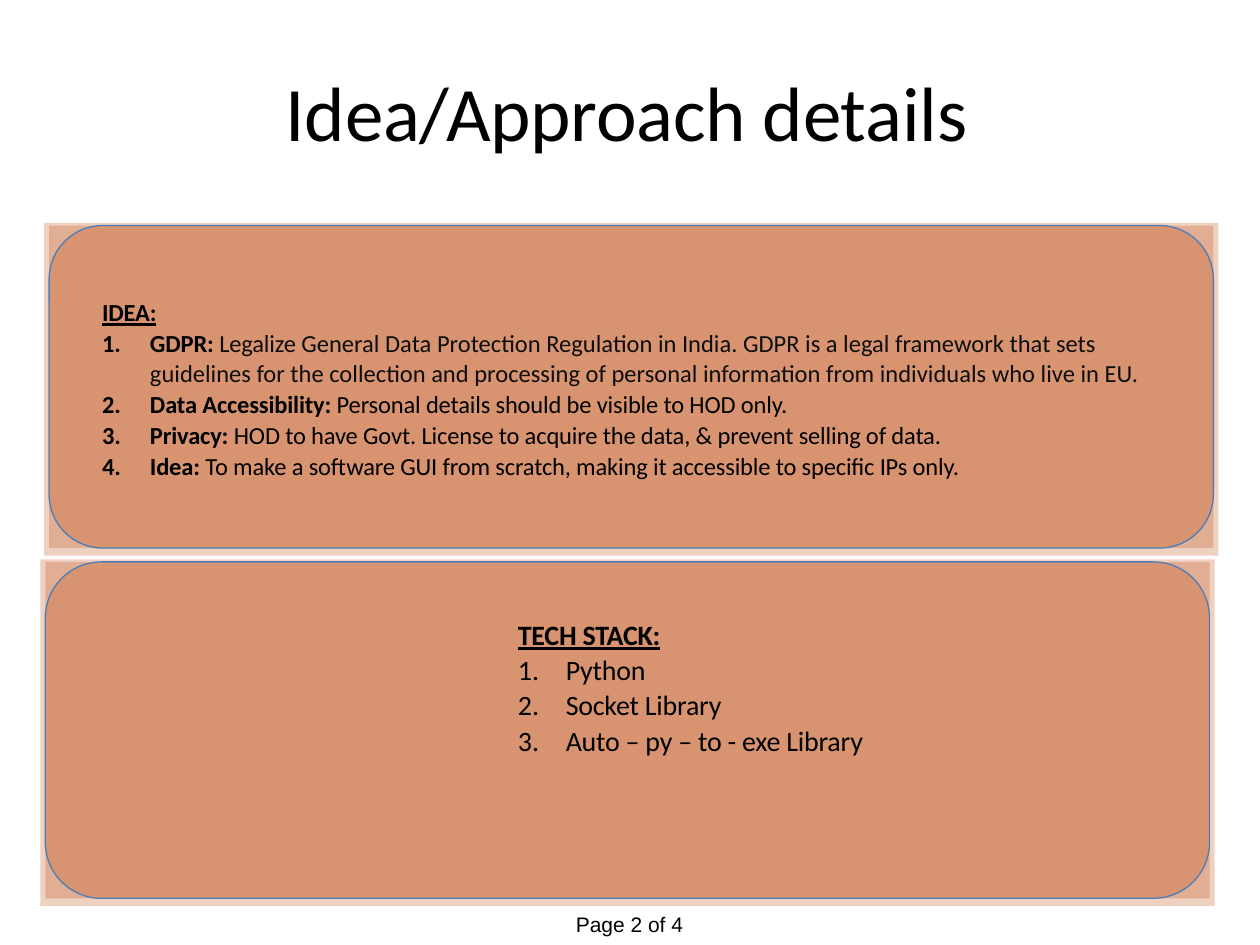
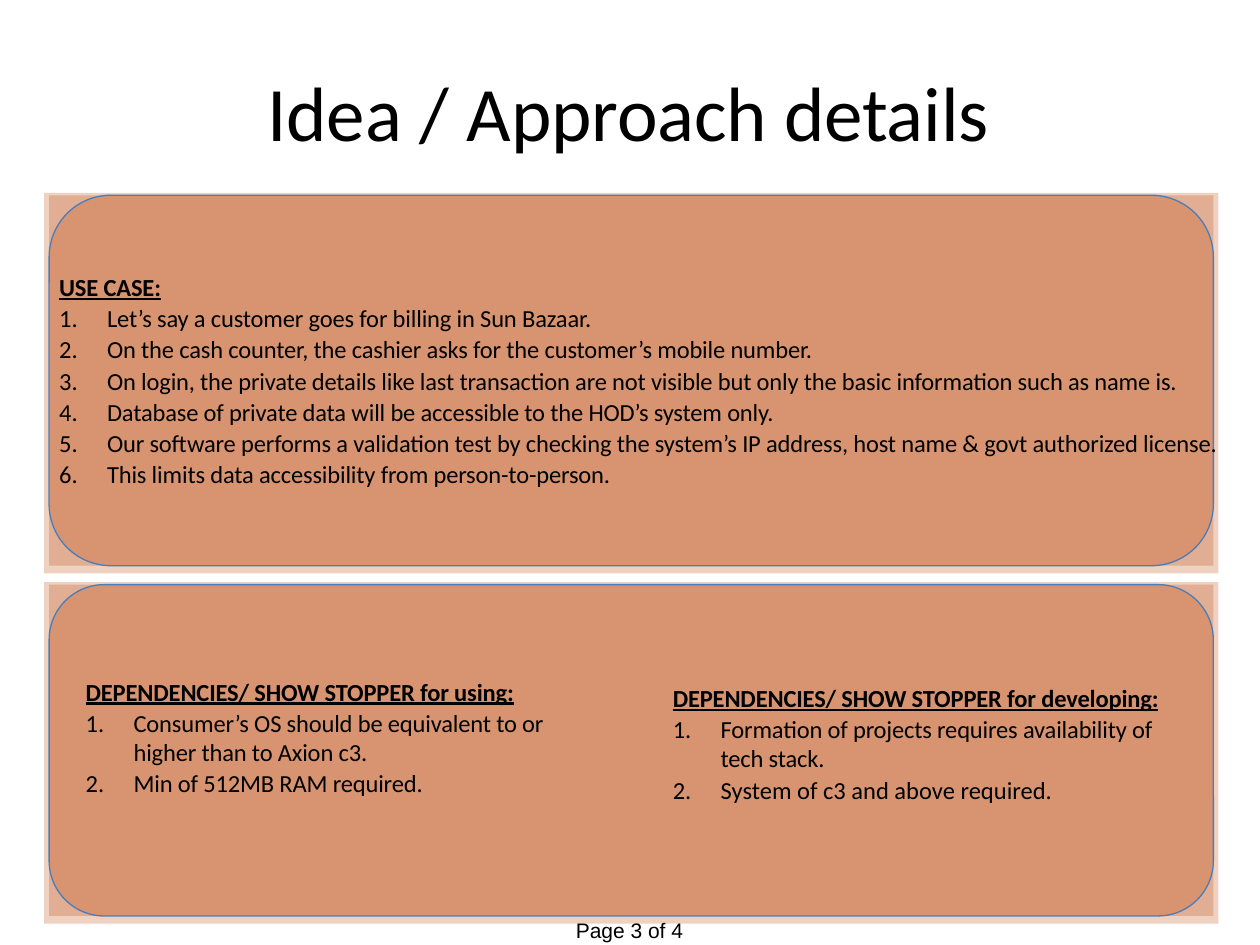
from dataclasses import dataclass
from lxml.etree import SubElement
from pptx import Presentation
from pptx.dml.color import RGBColor
from pptx.enum.shapes import MSO_SHAPE
from pptx.oxml.ns import qn
from pptx.util import Inches, Pt


@dataclass(frozen=True)
class Theme:
    panel: str = "BE480A"
    outline: str = "497DBA"
    ink: str = "000000"
    soft_ink: str = "0D0D0D"
    panel_opacity: int = 25
    body_font: str = "Calibri"
    footer_font: str = "Arial"
    title_size: int = 44
    large_size: int = 16
    body_size: int = 14
    footer_size: int = 12
    tight: float = -0.1


THEME = Theme()
BOLD = {"bold": True}
HEADING = {"bold": True, "underline": True}
SOFT = {"color": THEME.soft_ink}
LOOSE = {"spacing": 0}

PAGES = [
    {
        "title": (2.26, 5.49, [("Idea/Approach ", {"spacing": -0.2}), ("details", {})]),
        "footer": ("Page 2 of 4", 7.24),
        "panels": [(0.39, 1.79, 2.56), (0.36, 4.46, 2.67)],
        "lists": [
            {
                "at": (0.8, 2.35, 8.42, 1.98),
                "size": THEME.body_size,
                "heading": "IDEA:",
                "items": [
                    [
                        ("GDPR:", BOLD),
                        (" Legalize ", SOFT),
                        ("General Data Protection Regulation in India. GDPR is a legal "
                         "framework that sets guidelines for the collection and processing "
                         "of personal information from individuals who live in EU.",
                         SOFT | LOOSE),
                    ],
                    [("Data Accessibility:", BOLD),
                     (" Personal details should be visible to HOD only.", {})],
                    [("Privacy:", BOLD),
                     (" HOD to have Govt. License to acquire the data, & prevent selling "
                      "of data.", {})],
                    [("Idea:", BOLD),
                     (" To make a software GUI from scratch, making it accessible to "
                      "specific IPs only.", {})],
                ],
            },
            {
                "at": (4.1, 4.89, 3.72, 1.7),
                "size": THEME.large_size,
                "heading": "TECH STACK:",
                "items": [
                    [("Python", {})],
                    [("Socket Library", {})],
                    [("Auto – py – to - exe Library", {})],
                ],
            },
        ],
    },
    {
        "title": (2.11, 5.79, [("Idea / ", LOOSE), ("Approach details", {})]),
        "footer": ("Page 3 of 4", 7.28),
        "panels": [(0.39, 1.55, 2.94), (0.39, 4.64, 2.63)],
        "lists": [
            {
                "at": (0.46, 2.15, 9.24, 2),
                "size": THEME.body_size,
                "heading": "USE CASE:",
                "items": [
                    [("Let’s say a customer goes for billing in Sun Bazaar.", {})],
                    [("On the cash counter, the cashier asks for the customer’s mobile "
                      "number.", {})],
                    [("On login, the private details like last transaction are not visible "
                      "but only the basic information such as name is.", {})],
                    [("Database of private data will be accessible to the HOD’s system "
                      "only.", {})],
                    [("Our software performs a validation test by checking the system’s IP "
                      "address, host name & govt authorized license.", {})],
                    [("This limits data accessibility from person-to-person.", {})],
                ],
            },
            {
                "at": (0.67, 5.36, 3.71, 1.23),
                "size": THEME.body_size,
                "heading": "DEPENDENCIES/ SHOW STOPPER for using:",
                "items": [
                    [("Consumer’s OS should be equivalent to or higher than to Axion c3.", {})],
                    [("Min of 512MB RAM required.", {})],
                ],
            },
            {
                "at": (5.33, 5.41, 4, 0.98),
                "size": THEME.body_size,
                "heading": "DEPENDENCIES/ SHOW STOPPER for developing:",
                "items": [
                    [("Formation of projects requires availability of tech stack.", {})],
                    [("System of c3 and above required.", LOOSE)],
                ],
            },
        ],
    },
]

PANEL_WIDTH = 9.24
HALO_SIDE, HALO_TOP, HALO_BOTTOM = 0.04, 0.02, 0.06


def add_layer(page, kind, left, top, width, height, outlined=False):
    shape = page.shapes.add_shape(
        kind, Inches(left), Inches(top), Inches(width), Inches(height))
    shape.shadow.inherit = False
    shape.fill.solid()
    shape.fill.fore_color.rgb = RGBColor.from_string(THEME.panel)
    color = shape.fill._xPr.find(qn("a:solidFill"))[0]
    SubElement(color, qn("a:alpha"), val=str(THEME.panel_opacity * 1000))
    if outlined:
        shape.line.color.rgb = RGBColor.from_string(THEME.outline)
        shape.line.width = Pt(0.75)
    else:
        shape.line.fill.background()


def add_panel(page, left, top, height):
    add_layer(page, MSO_SHAPE.RECTANGLE, left - HALO_SIDE, top - HALO_TOP,
              PANEL_WIDTH + 2 * HALO_SIDE, height + HALO_TOP + HALO_BOTTOM)
    add_layer(page, MSO_SHAPE.RECTANGLE, left, top, PANEL_WIDTH, height)
    add_layer(page, MSO_SHAPE.ROUNDED_RECTANGLE, left, top, PANEL_WIDTH, height, True)


def add_box(page, left, top, width, height, inset_top=0.01):
    box = page.shapes.add_textbox(
        Inches(left), Inches(top), Inches(width), Inches(height))
    frame = box.text_frame
    margins = {"margin_left": 0, "margin_top": inset_top,
               "margin_right": 0, "margin_bottom": 0}
    for name, value in margins.items():
        setattr(frame, name, Inches(value))
    frame.word_wrap = True
    return frame


def write(para, spans, size, name=THEME.body_font, numbered=False, **layout):
    for key, value in layout.items():
        setattr(para, key, Pt(value))
    properties = para._p.get_or_add_pPr()
    properties.set("marL", str(Inches(0.39 if numbered else 0.01)))
    properties.set("indent", str(Inches(-0.38 if numbered else 0)))
    if numbered:
        SubElement(properties, qn("a:buFont"), typeface="+mj-lt")
        SubElement(properties, qn("a:buAutoNum"), type="arabicPeriod")
    for text, style in spans:
        span = para.add_run()
        span.text = text
        formats = {"name": name, "size": Pt(size), "bold": style.get("bold", False),
                   "underline": style.get("underline", False)}
        for key, value in formats.items():
            setattr(span.font, key, value)
        span.font.color.rgb = RGBColor.from_string(style.get("color", THEME.ink))
        spacing = style.get("spacing", THEME.tight)
        span._r.get_or_add_rPr().set("spc", str(round(spacing * 100)))


def add_list(page, content):
    frame = add_box(page, *content["at"])
    size = content["size"]
    write(frame.paragraphs[0], [(content["heading"], HEADING)], size, space_before=1)
    for item in content["items"]:
        write(frame.add_paragraph(), item, size, numbered=True, space_before=1)


def build_page(deck, content):
    page = deck.slides.add_slide(deck.slide_layouts[6])
    for panel in content["panels"]:
        add_panel(page, *panel)
    for entry in content["lists"]:
        add_list(page, entry)

    left, width, spans = content["title"]
    title = add_box(page, left, 0.5, width, 0.75)
    write(title.paragraphs[0], spans, THEME.title_size, space_before=1.1)

    text, top = content["footer"]
    footer = add_box(page, 4.56, top, 0.88, 0.2, inset_top=0)
    write(footer.paragraphs[0], [(text, LOOSE)], THEME.footer_size,
          THEME.footer_font, line_spacing=14.3)


def main():
    deck = Presentation()
    deck.slide_width, deck.slide_height = Inches(10), Inches(7.5)
    for content in PAGES:
        build_page(deck, content)
    deck.save("out.pptx")


if __name__ == "__main__":
    main()
